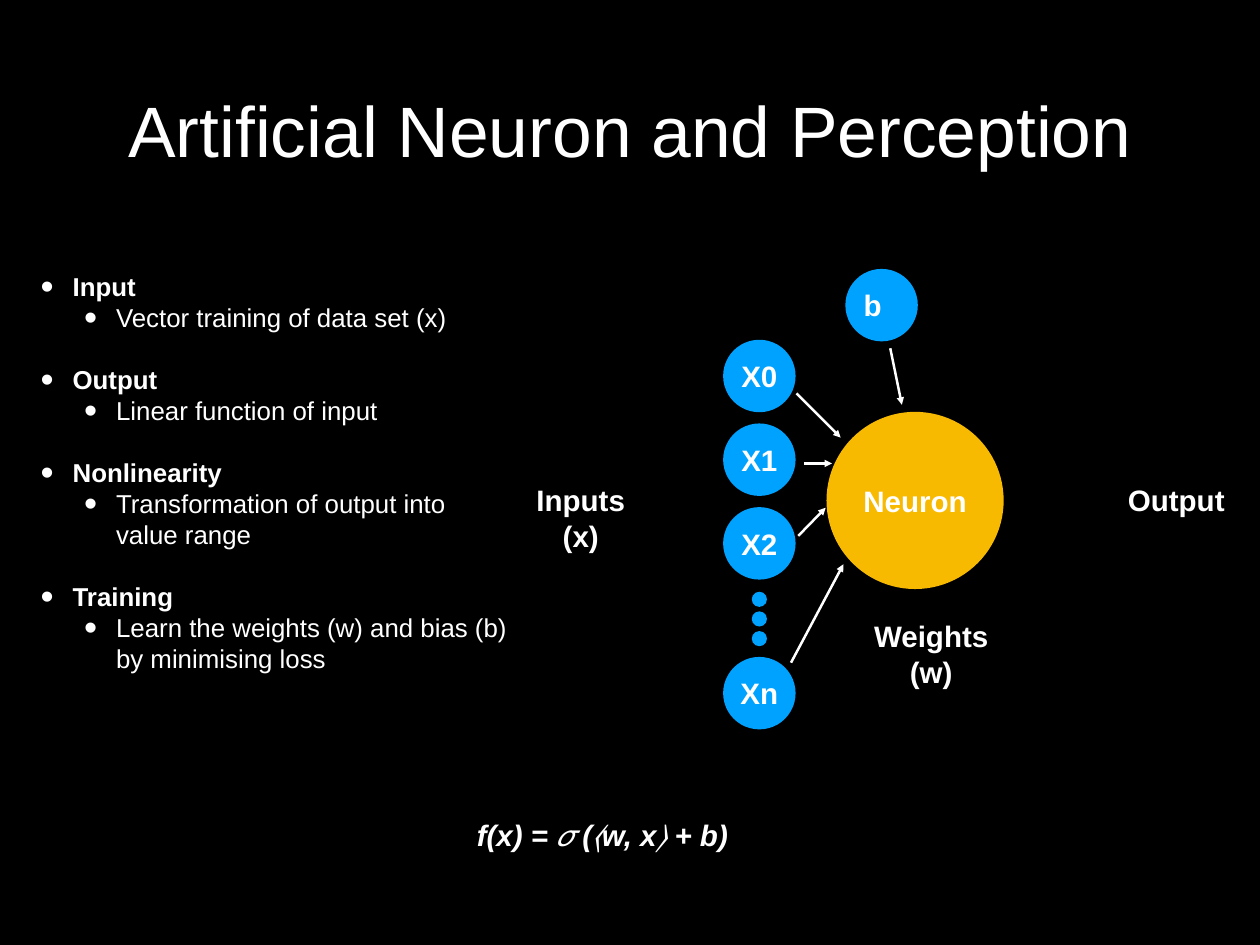
from lxml import etree
from pptx import Presentation
from pptx.dml.color import RGBColor
from pptx.enum.shapes import MSO_CONNECTOR, MSO_SHAPE
from pptx.enum.text import MSO_ANCHOR, PP_ALIGN
from pptx.oxml.ns import qn
from pptx.util import Inches, Pt

ELLIPSE = MSO_SHAPE.OVAL
STRAIGHT = MSO_CONNECTOR.STRAIGHT
MIDDLE = MSO_ANCHOR.MIDDLE
CENTER = PP_ALIGN.CENTER
LEFT = PP_ALIGN.LEFT

BLACK = RGBColor(0x00, 0x00, 0x00)
WHITE = RGBColor(0xFF, 0xFF, 0xFF)
BLUE = RGBColor(0x00, 0xA2, 0xFF)
GOLD = RGBColor(0xF8, 0xBA, 0x00)

presentation = Presentation()
presentation.slide_width = Inches(14.22)
presentation.slide_height = Inches(10.67)
COLUMN = presentation.slide_width / 64
ROW = presentation.slide_height / 48

slide = presentation.slides.add_slide(presentation.slide_layouts[6])
slide.background.fill.solid()
slide.background.fill.fore_color.rgb = BLACK

FRAME_FORMAT = {
    "vertical_anchor": MIDDLE,
    "margin_left": Inches(0.06),
    "margin_right": Inches(0.06),
    "margin_top": Inches(0.06),
    "margin_bottom": Inches(0.06),
}


def write(shape, lines, size, bold=False, italic=False, wrap=False, align=CENTER):
    frame = shape.text_frame
    for name, value in FRAME_FORMAT.items():
        setattr(frame, name, value)
    frame.word_wrap = wrap
    frame.text = "\n".join(lines)
    font_format = {"name": "Arial", "size": Pt(size), "bold": bold, "italic": italic}
    for paragraph in frame.paragraphs:
        paragraph.alignment = align
        for run in paragraph.runs:
            for name, value in font_format.items():
                setattr(run.font, name, value)
            run.font.color.rgb = WHITE
    return frame


def centred(column, row, width, height):
    return (
        round((column - width / 2) * COLUMN),
        round((row - height / 2) * ROW),
        round(width * COLUMN),
        round(height * ROW),
    )


title = slide.shapes.add_textbox(*centred(32, 6.57, 54.63, 10.62))
write(title, ["Artificial Neuron and Perception"], 58, wrap=True)

topics = {
    "Input": "Vector training of data set (x)",
    "Output": "Linear function of input",
    "Nonlinearity": "Transformation of output into value range",
    "Training": "Learn the weights (w) and bias (b) by minimising loss",
}
LINE_HEIGHT = Pt(25.2)
HANGING = Inches(0.36)
topic_list = slide.shapes.add_textbox(*centred(14.02, 24, 24.44, 21))
topic_lines = [line for topic in topics.items() for line in topic]
topic_frame = write(topic_list, topic_lines, 21, wrap=True, align=LEFT)
for index, paragraph in enumerate(topic_frame.paragraphs):
    is_heading = index % 2 == 0
    paragraph.level = 0 if is_heading else 1
    paragraph.line_spacing = LINE_HEIGHT
    paragraph.space_before = LINE_HEIGHT if is_heading and index else Pt(0)
    paragraph.runs[0].font.bold = is_heading
    properties = paragraph._p.get_or_add_pPr()
    properties.set("marL", str(HANGING if is_heading else Inches(0.85)))
    properties.set("indent", str(-HANGING))
    etree.SubElement(properties, qn("a:buSzPct")).set("val", "145000")
    etree.SubElement(properties, qn("a:buFont")).set("typeface", "Arial")
    etree.SubElement(properties, qn("a:buChar")).set("char", "•")

INPUT_COLUMN = 38.57
NODE = 3.68
DOT = 0.77
circles = [
    (f"X{index}", INPUT_COLUMN, 19.1 + 4.25 * index, NODE, BLUE) for index in range(3)
]
circles += [("", INPUT_COLUMN, 30.44 + index, DOT, BLUE) for index in range(3)]
circles += [
    ("Xn", INPUT_COLUMN, 35.21, NODE, BLUE),
    ("b", 44.78, 15.5, NODE, BLUE),
    ("Neuron", 46.48, 25.42, 9, GOLD),
]
for label, column, row, diameter, color in circles:
    circle = slide.shapes.add_shape(ELLIPSE, *centred(column, row, diameter, diameter))
    circle.shadow.inherit = False
    circle.fill.solid()
    circle.fill.fore_color.rgb = color
    circle.line.fill.background()
    if label:
        label_frame = write(circle, [label], 24, bold=True)
        if label == "b":
            label_frame.margin_right = Inches(0.26)

arrows = [
    (40.46, 19.98, 42.7, 22.23),
    (40.86, 23.54, 42.26, 23.54),
    (40.55, 27.22, 41.94, 25.79),
    (40.18, 33.66, 42.84, 28.66),
    (45.22, 17.69, 45.81, 20.56),
]
for start_column, start_row, end_column, end_row in arrows:
    arrow = slide.shapes.add_connector(
        STRAIGHT,
        round(start_column * COLUMN),
        round(start_row * ROW),
        round(end_column * COLUMN),
        round(end_row * ROW),
    )
    arrow.line.color.rgb = WHITE
    arrow.line.width = Pt(2)
    etree.SubElement(arrow.line._get_or_add_ln(), qn("a:tailEnd")).set("type", "triangle")
    etree.SubElement(arrow._element.spPr, qn("a:effectLst"))

captions = [
    (["Inputs", "(x)"], 29.5, 26.3, 7.2),
    (["Output"], 59.75, 25.4, 5.5),
    (["Weights", "(w)"], 47.3, 33.2, 8.8),
]
for lines, column, row, width in captions:
    caption = slide.shapes.add_textbox(*centred(column, row, width, 2.25 * len(lines)))
    write(caption, lines, 24, bold=True)

formula = slide.shapes.add_textbox(*centred(30.6, 41.53, 13.3, 3.8))
formula_frame = write(formula, ["f(x) = 𝜎 (⟨w, x⟩ + b)"], 24, bold=True, italic=True)
formula_frame.paragraphs[0].line_spacing = Pt(56)

presentation.save("out.pptx")
